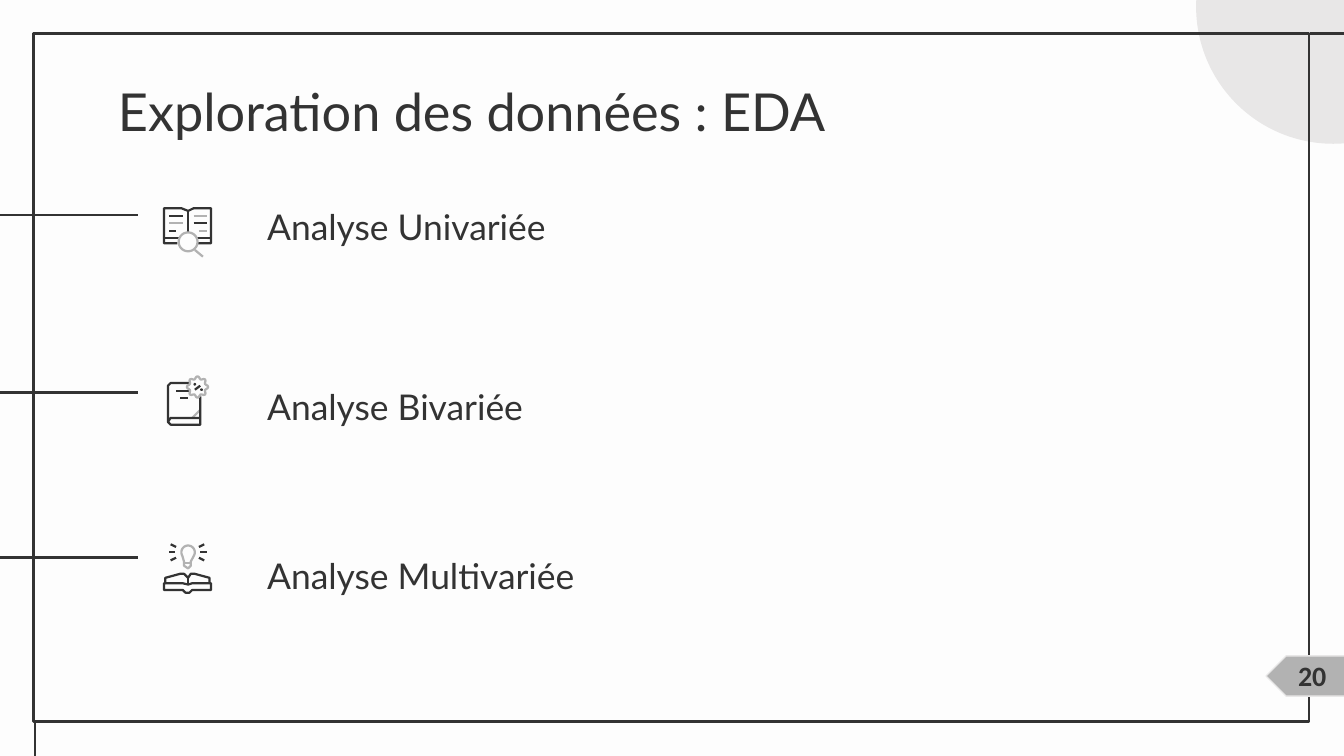
import math

import pptx
import pptx.dml.color
import pptx.enum.shapes
import pptx.enum.text
import pptx.oxml
import pptx.util

Inches = pptx.util.Inches
Pt = pptx.util.Pt
RGBColor = pptx.dml.color.RGBColor
MSO_SHAPE = pptx.enum.shapes.MSO_SHAPE
MSO_ANCHOR = pptx.enum.text.MSO_ANCHOR

INK = RGBColor(0x33, 0x33, 0x33)
GREY = RGBColor(0xB2, 0xB2, 0xB2)
PALE = RGBColor(0xE8, 0xE7, 0xE7)
PAPER = RGBColor(0xFD, 0xFD, 0xFD)
SLIDE_WIDTH = 10
SLIDE_HEIGHT = SLIDE_WIDTH * 9 / 16
FRAME_WEIGHT = 1.5
ICON_WEIGHT = 1.2


def arc(center_x, center_y, radius, start, end, lobes=0, depth=0, steps=48):
    """Points along an arc in degrees, optionally scalloped into lobes."""
    points = []
    for step in range(steps + 1):
        angle = math.radians(start + (end - start) * step / steps)
        reach = radius + depth * math.cos(lobes * angle)
        points.append((center_x + reach * math.cos(angle),
                       center_y + reach * math.sin(angle)))
    return points


TITLE = "Exploration des données : EDA"
PAGE_NUMBER = "20"

# Each icon is a list of strokes: colour, points.
BOOK_AND_LENS = [
    (INK, [(1.32, 1.81), (1.22, 1.81), (1.22, 1.55), (1.35, 1.55), (1.4, 1.57),
           (1.44, 1.55), (1.57, 1.55), (1.57, 1.81), (1.47, 1.81)]),
    (INK, [(1.4, 1.57), (1.4, 1.73)]),
    (INK, [(1.22, 1.77), (1.33, 1.77)]),
    (INK, [(1.46, 1.77), (1.57, 1.77)]),
    (INK, [(1.26, 1.61), (1.36, 1.61)]),
    (GREY, [(1.26, 1.66), (1.36, 1.66)]),
    (INK, [(1.26, 1.72), (1.31, 1.72)]),
    (GREY, [(1.44, 1.61), (1.54, 1.61)]),
    (INK, [(1.44, 1.66), (1.54, 1.66)]),
    (GREY, [(1.48, 1.72), (1.54, 1.72)]),
    (GREY, arc(1.4, 1.8, 0.07, 0, 360)),
    (GREY, [(1.45, 1.86), (1.51, 1.91)]),
]
BOOK_AND_BADGE = [
    (GREY, [(1.43, 3.11), (1.49, 3.05)]),
    (INK, [(1.41, 2.85), (1.27, 2.85), (1.25, 2.87), (1.25, 3.14), (1.27, 3.16),
           (1.49, 3.16), (1.49, 2.95)]),
    (INK, [(1.25, 3.14), (1.27, 3.11), (1.49, 3.11)]),
    (INK, [(1.31, 2.91), (1.42, 2.91)]),
    (INK, [(1.34, 2.96), (1.4, 2.96)]),
    (GREY, arc(1.47, 2.88, 0.07, 0, 360, lobes=8, depth=0.01)),
    (INK, [(1.45, 2.9), (1.49, 2.87)]),
    (INK, arc(1.45, 2.86, 0.002, 0, 360, steps=8)),
    (INK, arc(1.5, 2.9, 0.002, 0, 360, steps=8)),
]
BULB_AND_BOOK = [
    (INK, [(1.22, 4.34), (1.36, 4.34), (1.4, 4.35), (1.43, 4.34), (1.57, 4.34),
           (1.57, 4.39), (1.43, 4.39), (1.41, 4.41), (1.38, 4.41), (1.36, 4.39),
           (1.22, 4.39), (1.22, 4.34)]),
    (INK, [(1.23, 4.33), (1.23, 4.3), (1.34, 4.27), (1.37, 4.27), (1.4, 4.3),
           (1.42, 4.27), (1.45, 4.27), (1.56, 4.3), (1.56, 4.33)]),
    (INK, [(1.4, 4.3), (1.4, 4.35)]),
    (INK, [(1.49, 4.11), (1.54, 4.11)]),
    (INK, [(1.48, 4.07), (1.52, 4.05)]),
    (INK, [(1.48, 4.15), (1.52, 4.17)]),
    (INK, [(1.26, 4.11), (1.3, 4.11)]),
    (INK, [(1.27, 4.05), (1.31, 4.07)]),
    (INK, [(1.27, 4.17), (1.31, 4.15)]),
    (GREY, arc(1.4, 4.11, 0.05, 150, 390)
     + [(1.42, 4.18), (1.42, 4.21), (1.4, 4.23), (1.37, 4.21), (1.37, 4.18),
        arc(1.4, 4.11, 0.05, 150, 390)[0]]),
    (GREY, [(1.37, 4.19), (1.42, 4.19)]),
]

# Text, top of its box, height of the line from the edge, icon.
TOPICS = [
    ("Analyse Univariée", 1.36, 1.6, BOOK_AND_LENS),
    ("Analyse Bivariée", 2.7, 2.92, BOOK_AND_BADGE),
    ("Analyse Multivariée", 3.96, 4.15, BULB_AND_BOOK),
]


def add_line(shapes, start, end, color, weight):
    connector = shapes.add_connector(
        pptx.enum.shapes.MSO_CONNECTOR.STRAIGHT,
        *[Inches(value) for value in (*start, *end)])
    connector.line.color.rgb = color
    connector.line.width = Pt(weight)
    properties = connector._element.spPr
    properties.append(pptx.oxml.parse_xml(
        '<a:effectLst xmlns:a="http://schemas.openxmlformats.org/drawingml/2006/main"/>'))


def paint(shape, fill=None, line=None, weight=FRAME_WEIGHT):
    shape.shadow.inherit = False
    if fill is None:
        shape.fill.background()
    else:
        shape.fill.solid()
        shape.fill.fore_color.rgb = fill
    if line is None:
        shape.line.fill.background()
    else:
        shape.line.color.rgb = line
        shape.line.width = Pt(weight)


def add_preset(shapes, preset, box, **style):
    shape = shapes.add_shape(preset, *[Inches(value) for value in box])
    paint(shape, **style)
    return shape


def add_text(shapes, text, box, size, font="Lato", bold=False,
             anchor=MSO_ANCHOR.TOP, spacing=1.0):
    frame = shapes.add_textbox(*[Inches(value) for value in box]).text_frame
    frame.word_wrap = True
    frame.vertical_anchor = anchor
    frame.margin_left = frame.margin_right = Inches(0.1)
    frame.margin_top = frame.margin_bottom = Inches(0.1)
    paragraph = frame.paragraphs[0]
    paragraph.line_spacing = spacing
    run = paragraph.add_run()
    run.text = text
    run.font.name = font
    run.font.size = Pt(size)
    run.font.bold = bold
    run.font.color.rgb = INK


def add_icon(shapes, strokes):
    group = shapes.add_group_shape()
    for color, points in strokes:
        if len(points) == 2:
            add_line(group.shapes, *points, color, ICON_WEIGHT)
            continue
        corners = [(Inches(x), Inches(y)) for x, y in points]
        builder = group.shapes.build_freeform(*corners[0])
        builder.add_line_segments(corners[1:], close=points[0] == points[-1])
        paint(builder.convert_to_shape(), line=color, weight=ICON_WEIGHT)


def main():
    presentation = pptx.Presentation()
    presentation.slide_width = Inches(SLIDE_WIDTH)
    presentation.slide_height = Inches(SLIDE_HEIGHT)
    slide = presentation.slides.add_slide(presentation.slide_layouts[6])
    slide.background.fill.solid()
    slide.background.fill.fore_color.rgb = PAPER
    shapes = slide.shapes

    add_preset(shapes, MSO_SHAPE.OVAL, (8.9, -0.97, 2.04, 2.04), fill=PALE)
    for _, _, line_y, _ in TOPICS:
        add_line(shapes, (0, line_y), (1.03, line_y), INK, FRAME_WEIGHT)
    add_preset(shapes, MSO_SHAPE.RECTANGLE, (0.25, 0.25, 9.49, 5.12), line=INK)
    add_line(shapes, (SLIDE_WIDTH, 0.25), (9.75, 0.25), INK, FRAME_WEIGHT)
    add_line(shapes, (0.26, 5.38), (0.26, SLIDE_HEIGHT), INK, FRAME_WEIGHT)

    add_text(shapes, TITLE, (0.78, 0.49, 8.43, 0.63), 28)
    for text, top, _, icon in TOPICS:
        add_text(shapes, text, (1.89, top, 7.23, 0.58), 19,
                 anchor=MSO_ANCHOR.BOTTOM, spacing=1.15)
        add_icon(shapes, icon)

    page_tag = add_preset(shapes, MSO_SHAPE.PENTAGON, (9.42, 4.88, 0.64, 0.3),
                          fill=GREY, line=PALE, weight=0.75)
    page_tag.rotation = 180
    add_text(shapes, PAGE_NUMBER, (9.56, 4.8, 0.47, 0.42), 15,
             font="Calibri", bold=True)
    presentation.save("out.pptx")


if __name__ == "__main__":
    main()
